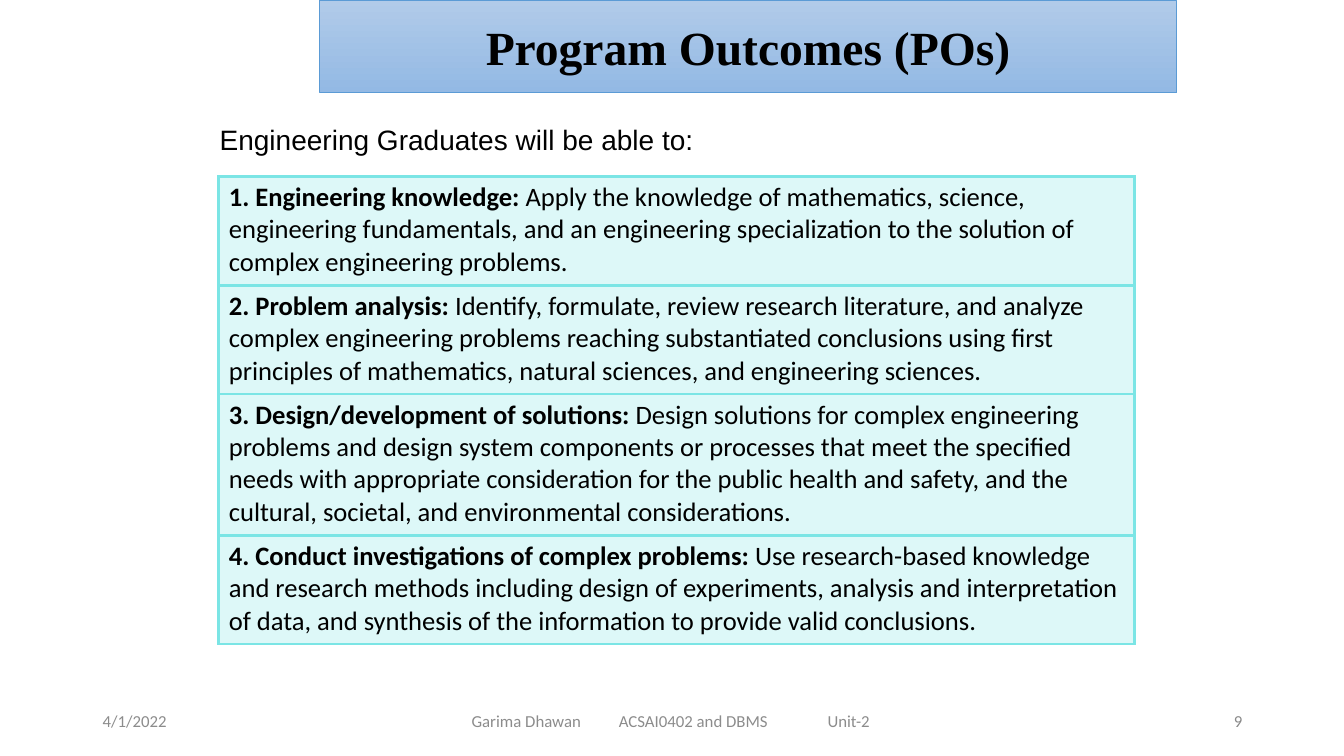
import pptx
import pptx.dml.color
import pptx.enum.text
import pptx.oxml
import pptx.oxml.ns
import pptx.util
from lxml import etree
from pptx.util import Inches

TITLE = "Program Outcomes (POs)"
INTRO = "Engineering Graduates will be able to:"
OUTCOMES = [  # heading, description, row height in inches
    ("1. Engineering knowledge: ",
     "Apply the knowledge of mathematics, science, engineering fundamentals, and an "
     "engineering specialization to the solution of complex engineering problems.", 1.08),
    ("2. Problem analysis:",
     " Identify, formulate, review research literature, and analyze complex engineering "
     "problems reaching substantiated conclusions using first principles of mathematics, "
     "natural sciences, and engineering sciences.", 1.08),
    ("3. Design/development of solutions:",
     " Design solutions for complex engineering problems and design system components or "
     "processes that meet the specified needs with appropriate consideration for the public "
     "health and safety, and the cultural, societal, and environmental considerations.", 1.4),
    ("4. Conduct investigations of complex problems: ",
     "Use research-based knowledge and research methods including design of experiments, "
     "analysis and interpretation of data, and synthesis of the information to provide "
     "valid conclusions.", 1.08),
]
LEFT, RIGHT = pptx.enum.text.PP_ALIGN.LEFT, pptx.enum.text.PP_ALIGN.RIGHT
FOOTERS = [  # text, left, width, alignment, colour name
    ("4/1/2022", 0.92, 3, LEFT, "footer"),
    ("Garima Dhawan\tACSAI0402 and DBMS\tUnit-2", 4.58, 4.34, LEFT, "footer"),
    ("9", 9.42, 3, RIGHT, "number"),
]
FOOTER_TABS = (1.46, 3.53)
COLOURS = {"text": "000000", "footer": "8C8C8C", "number": "898989", "aqua": "7BE5E5",
           "title_top": "B1CBE9", "title_bottom": "93B9E4", "title_line": "5B9BD5"}


def colour(name):
    return pptx.dml.color.RGBColor.from_string(COLOURS[name])


def set_font(font, name, size, colour_name="text"):
    font.name = name
    font.size = pptx.util.Pt(size)
    font.color.rgb = colour(colour_name)


def add_tabs(paragraph, positions):
    tab_list = etree.SubElement(paragraph._p.get_or_add_pPr(), pptx.oxml.ns.qn("a:tabLst"))
    for position in positions:
        etree.SubElement(tab_list, pptx.oxml.ns.qn("a:tab"), pos=str(Inches(position)), algn="l")


def style_cell(cell):
    cell.fill.solid()
    cell.fill.fore_color.rgb = colour("aqua")
    properties = cell._tc.get_or_add_tcPr()
    fill_colour = properties.find(".//" + pptx.oxml.ns.qn("a:srgbClr"))
    etree.SubElement(fill_colour, pptx.oxml.ns.qn("a:alpha"), val="25000")
    for index, side in enumerate(("lnL", "lnR", "lnT", "lnB")):
        properties.insert(index, pptx.oxml.parse_xml(
            f'<a:{side} {pptx.oxml.ns.nsdecls("a")} w="{pptx.util.Pt(2.25)}"><a:solidFill>'
            f'<a:srgbClr val="{COLOURS["aqua"]}"/></a:solidFill></a:{side}>'))


def add_text(slide, text, box, wrap=True):
    shape = slide.shapes.add_textbox(*map(Inches, box))
    shape.text_frame.word_wrap = wrap
    paragraph = shape.text_frame.paragraphs[0]
    paragraph.add_run().text = text
    return shape.text_frame, paragraph


def main():
    presentation = pptx.Presentation()
    presentation.slide_width, presentation.slide_height = Inches(13.33), Inches(7.5)
    slide = presentation.slides.add_slide(presentation.slide_layouts[5])
    middle = pptx.enum.text.MSO_ANCHOR.MIDDLE

    # Title banner
    title = slide.shapes.title
    title.left, title.top = Inches(3.17), Inches(0)
    title.width, title.height = Inches(8.5), Inches(0.92)
    title.fill.gradient()
    title.fill.gradient_angle = 270
    for stop, name in zip(title.fill.gradient_stops, ("title_top", "title_bottom")):
        stop.color.rgb = colour(name)
    title.line.color.rgb = colour("title_line")
    title.line.width = pptx.util.Pt(0.5)
    title.text_frame.text = TITLE
    title.text_frame.auto_size = pptx.enum.text.MSO_AUTO_SIZE.NONE
    title.text_frame.vertical_anchor = middle
    heading = title.text_frame.paragraphs[0]
    heading.alignment = pptx.enum.text.PP_ALIGN.CENTER
    set_font(heading.font, "Times New Roman", 34)
    heading.font.bold = True

    # Introduction
    _, paragraph = add_text(slide, INTRO, (2.08, 1.17, 4.94, 0.44), wrap=False)
    set_font(paragraph.font, "Arial", 20)

    # Outcomes table
    total_height = sum(height for _, _, height in OUTCOMES)
    table = slide.shapes.add_table(len(OUTCOMES), 1, Inches(2.17), Inches(1.75),
                                   Inches(9.08), Inches(total_height)).table
    table.first_row = table.horz_banding = False
    for row, (label, description, height) in zip(table.rows, OUTCOMES):
        row.height = Inches(height)
        cell = row.cells[0]
        style_cell(cell)
        paragraph = cell.text_frame.paragraphs[0]
        for text, bold in ((label, True), (description, False)):
            run = paragraph.add_run()
            run.text = text
            run.font.bold = bold
        set_font(paragraph.font, "Calibri", 19)

    # Footer
    for text, left, width, alignment, name in FOOTERS:
        frame, paragraph = add_text(slide, text, (left, 6.95, width, 0.4))
        frame.vertical_anchor = middle
        paragraph.alignment = alignment
        if "\t" in text:
            add_tabs(paragraph, FOOTER_TABS)
        set_font(paragraph.font, "Calibri", 12, name)

    presentation.save("out.pptx")


if __name__ == "__main__":
    main()
